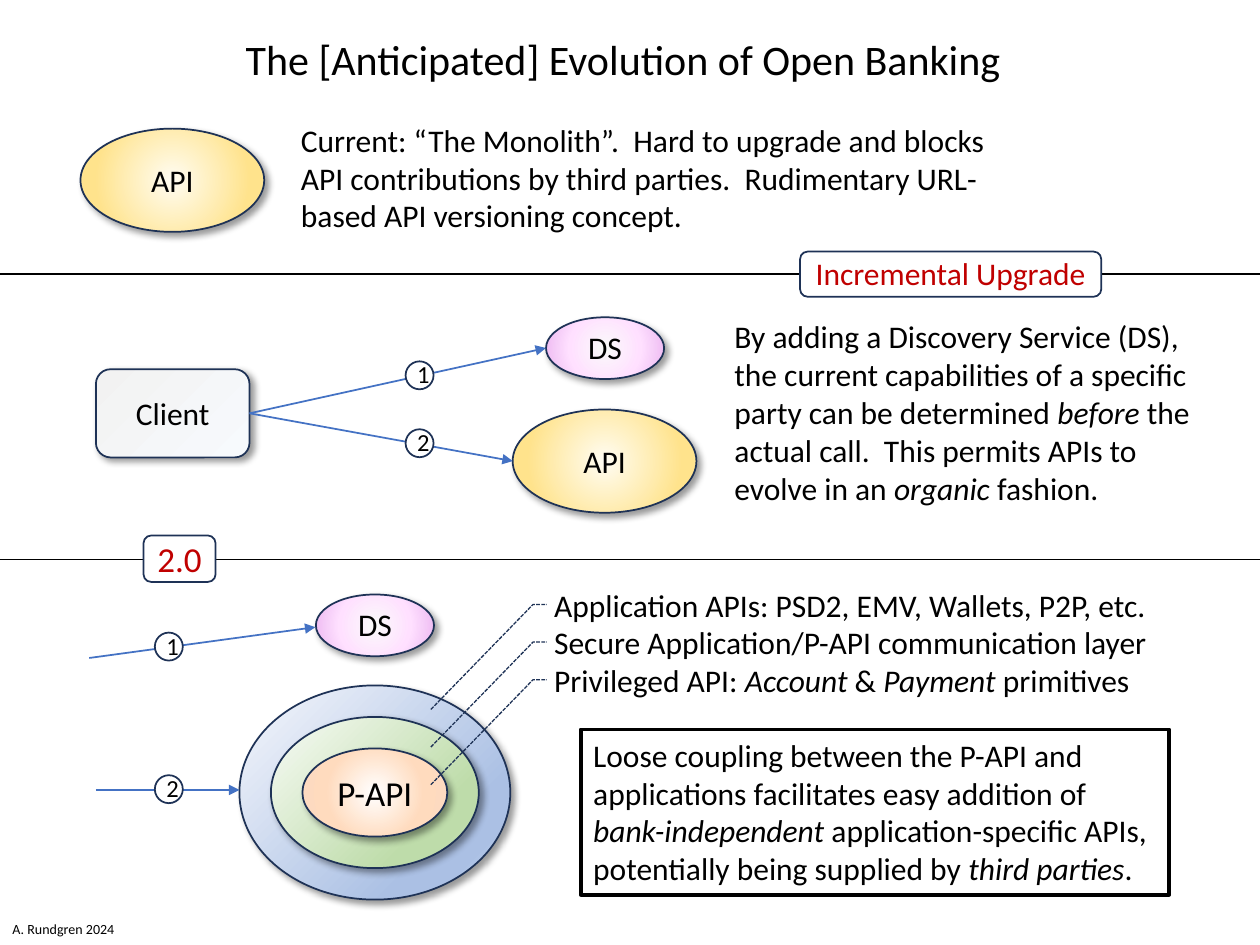
from lxml import etree
from pptx import Presentation
from pptx.dml.color import RGBColor
from pptx.enum.dml import MSO_LINE_DASH_STYLE as Dash
from pptx.enum.shapes import MSO_CONNECTOR as Connector, MSO_SHAPE as Shape
from pptx.enum.text import MSO_ANCHOR as Anchor, MSO_AUTO_SIZE as AutoSize, PP_ALIGN as Align
from pptx.oxml.ns import qn
from pptx.util import Pt

COLORS = {"text": "000000", "outline": "1E3256", "arrow": "4472C4",
          "tag": "C00000", "paper": "FFFFFF"}
CENTER = (50, 50, 50, 50)
# Gradient stops, then an angle in degrees or the focus rectangle of a radial fill
GRADIENTS = {
    "api": ([(0, "FFFCF2"), (74, "FFE38C"), (83, "FFE38C"), (100, "FFECB2")], CENTER),
    "ds": ([(0, "FAFAFA"), (54, "FFE0FF"), (100, "EAB3EF")], CENTER),
    "client": ([(0, "F7FAFD"), (100, "F2F2F2")], (100, 100, 0, 0)),
    "applications": ([(0, "F6F8FC"), (74, "ABC0E4"), (83, "ABC0E4"), (100, "C7D5ED")], 45),
    "secure": ([(0, "F8FBF6"), (74, "BEDCAA"), (83, "BEDCAA"), (100, "D4E8C6")], 45),
    "privileged": ([(0, "FFFFFF"), (58, "FFDBBE"), (100, "FAD8C1")], CENTER),
}
INSETS = (7.2, 3.6, 7.2, 3.6)
LAYER_STEP = 21.5


def rgb(name):
    return RGBColor.from_string(COLORS[name])


def child(parent, tag, **values):
    return etree.SubElement(parent, qn(tag), {key: str(value) for key, value in values.items()})


def write_text(target, text, size=18, color="text", align=Align.LEFT,
               anchor=Anchor.TOP, insets=INSETS, wrap=True, grow=False):
    """Write text; asterisks switch italics, a newline breaks the line."""
    frame = target.text_frame
    margins = zip(("margin_left", "margin_top", "margin_right", "margin_bottom"), insets)
    settings = {name: Pt(value) for name, value in margins}
    settings.update(word_wrap=wrap, vertical_anchor=anchor,
                    auto_size=AutoSize.SHAPE_TO_FIT_TEXT if grow else AutoSize.NONE)
    for name, value in settings.items():
        setattr(frame, name, value)
    para = frame.paragraphs[0]
    para.alignment = align
    for part, phrase in enumerate(text.split("*")):
        for row, line in enumerate(phrase.split("\n")):
            if row:
                para.add_line_break()
            if line:
                span = para.add_run()
                span.text = line
                style = {"name": "Calibri", "size": Pt(size), "italic": part % 2 == 1}
                for name, value in style.items():
                    setattr(span.font, name, value)
                span.font.color.rgb = rgb(color)
    para.font.size = Pt(size)


def add_text(page, bounds, text, **style):
    box = page.shapes.add_textbox(*map(Pt, bounds))
    write_text(box, text, grow=True, **style)


def add_block(page, kind, bounds, text="", fill="paper", line=("outline", 1), **style):
    block = page.shapes.add_shape(kind, *map(Pt, bounds))
    block.shadow.inherit = False
    if fill is None:
        block.fill.background()
    elif fill in GRADIENTS:
        apply_gradient(block, *GRADIENTS[fill])
        apply_shadow(block)
    else:
        block.fill.solid()
        block.fill.fore_color.rgb = rgb(fill)
    block.line.color.rgb = rgb(line[0])
    block.line.width = Pt(line[1])
    if text:
        write_text(block, text, **{"align": Align.CENTER, "anchor": Anchor.MIDDLE, **style})
    return block


def apply_gradient(block, stops, direction):
    block.fill.background()
    empty = block.element.spPr.find(qn("a:noFill"))
    gradient = etree.Element(qn("a:gradFill"), rotWithShape="1")
    stop_list = child(gradient, "a:gsLst")
    for position, color in stops:
        child(child(stop_list, "a:gs", pos=position * 1000), "a:srgbClr", val=color)
    if isinstance(direction, tuple):
        radial = child(gradient, "a:path", path="circle")
        child(radial, "a:fillToRect",
              **{side: value * 1000 for side, value in zip("ltrb", direction)})
    else:
        child(gradient, "a:lin", ang=direction * 60000, scaled=0)
    block.element.spPr.replace(empty, gradient)


def apply_shadow(block):
    effects = block.element.spPr.find(qn("a:effectLst"))
    shadow = child(effects, "a:outerShdw", blurRad=Pt(4), dist=Pt(3), dir=45 * 60000,
                   algn="tl", rotWithShape=0)
    child(child(shadow, "a:srgbClr", val=COLORS["text"]), "a:alpha", val=40000)


def add_line(page, start, end, color="text", arrow=False):
    line = page.shapes.add_connector(Connector.STRAIGHT, *map(Pt, (*start, *end)))
    line.line.color.rgb = rgb(color)
    line.line.width = Pt(1)
    if arrow:
        child(line.line._get_or_add_ln(), "a:tailEnd", type="triangle")
    child(line.element.spPr, "a:effectLst")


def add_leader(page, y):
    """Dashed line from a layer of the rings to its label at height y."""
    builder = page.shapes.build_freeform(Pt(246.2), Pt(y + 60), scale=1.0)
    builder.add_line_segments([(Pt(304.6), Pt(y)), (Pt(312.5), Pt(y))], close=False)
    leader = builder.convert_to_shape()
    leader.shadow.inherit = False
    leader.fill.background()
    style = {"width": Pt(0.75), "dash_style": Dash.SQUARE_DOT}
    leader.line.color.rgb = rgb("outline")
    for name, value in style.items():
        setattr(leader.line, name, value)


def add_api(page, x, y):
    add_block(page, Shape.OVAL, (x, y, 105, 59), "API", "api")


def add_discovery(page, x, y):
    add_block(page, Shape.OVAL, (x, y, 67.5, 35.3), "DS", "ds", insets=(0, 4.3, 0, 5.8))


def add_call(page, start, end, number, badge):
    add_line(page, start, end, "arrow", arrow=True)
    add_block(page, Shape.OVAL, (*badge, 16, 16), number, size=14, insets=(7.2, 2.2, 7.2, 3.6))


def add_tag(page, bounds, text, **style):
    add_block(page, Shape.ROUNDED_RECTANGLE, bounds, text, color="tag", **style)


def add_rings(page):
    rings = [("applications", ""), ("secure", ""), ("privileged", "P-API")]
    for index, (fill, text) in enumerate(rings):
        inset = 18 * index
        bounds = (136.8 + inset, 391.7 + inset, 154.8 - 2 * inset, 122.4 - 2 * inset)
        add_block(page, Shape.OVAL, bounds, text, fill, size=20, insets=(0, 0, 0, 0))


def main():
    deck = Presentation()
    deck.slide_width, deck.slide_height = Pt(720), Pt(540)
    page = deck.slides.add_slide(deck.slide_layouts[5])

    # Title
    title = page.shapes.title
    title.left, title.top, title.width, title.height = map(Pt, (133.2, 15.8, 450, 36.3))
    write_text(title, "The [Anticipated] Evolution of Open Banking", size=24,
               wrap=False, grow=True)

    # Current state
    add_api(page, 46, 73.5)
    add_text(page, (164.9, 65.5, 441.4, 72.7),
             "Current: “The Monolith”.  Hard to upgrade and blocks\n"
             "API contributions by third parties.  Rudimentary URL-based API versioning concept.")

    # Incremental upgrade
    add_line(page, (0, 156.7), (720, 156.7))
    add_tag(page, (457.2, 143.8, 172.1, 25.8), "Incremental Upgrade",
            insets=(7.2, 0, 7.2, 1.4), wrap=False)
    client_edge = (142.6, 236.2)
    add_api(page, 293, 234)
    add_discovery(page, 312, 181.3)
    add_block(page, Shape.ROUNDED_RECTANGLE, (54.8, 211, 87.8, 50.4), "Client", "client")
    add_call(page, client_edge, (312, 198.9), "1", (231.8, 206.5))
    add_call(page, client_edge, (293, 263.5), "2", (231.8, 245.3))
    add_text(page, (412.6, 177.8, 277.9, 116.6),
             "By adding a Discovery Service (DS),\nthe current capabilities of a specific\n"
             "party can be determined *before* the\nactual call.  This permits APIs to\n"
             "evolve in an *organic* fashion.", wrap=False)

    # Version 2.0
    add_line(page, (0, 319.8), (720, 319.8))
    add_tag(page, (82, 306, 41.2, 26.6), "2.0", size=20, insets=(0, 0, 0, 0))
    add_rings(page)
    add_discovery(page, 180.5, 339.7)
    add_call(page, (51, 376), (180.2, 358.4), "1", (88.5, 361.5))
    add_call(page, (54.8, 451.4), (136.8, 451.4), "2", (88.5, 443))

    # Layer labels
    layers = [("Application APIs: PSD2, EMV, Wallets, P2P, etc.", 356.4),
              ("Secure Application/P-API communication layer", 357.1),
              ("Privileged API: *Account* & *Payment* primitives", 347)]
    for index, (label, width) in enumerate(layers):
        offset = LAYER_STEP * index
        add_text(page, (309.6, 331.2 + offset, width, 29), label, wrap=False)
        add_leader(page, 345.4 + offset)

    # Conclusion
    add_block(page, Shape.RECTANGLE, (331.9, 416.9, 336.2, 94.4),
              "Loose coupling between the P-API and applications facilitates easy addition of\n"
              "*bank-independent* application-specific APIs, potentially being supplied by "
              "*third parties*.", fill=None, line=("text", 2.25), align=Align.LEFT,
              anchor=Anchor.TOP, insets=(7.2, 3.6, 0, 3.6))

    # Author line
    add_text(page, (0, 522.7, 73.4, 17), "A. Rundgren 2024", size=8, wrap=False)
    deck.save("out.pptx")


if __name__ == "__main__":
    main()
